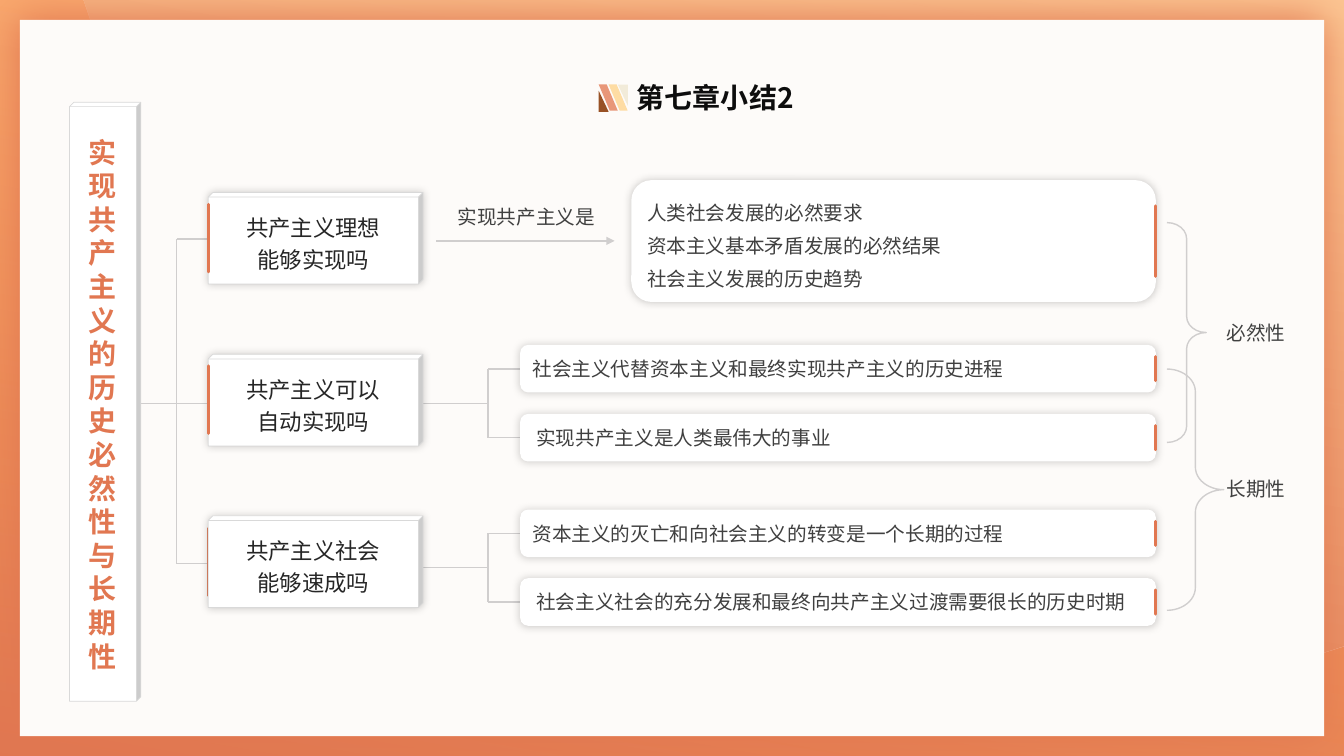
from lxml.etree import SubElement
from pptx import Presentation
from pptx.dml.color import RGBColor
from pptx.enum.shapes import MSO_CONNECTOR, MSO_SHAPE
from pptx.enum.text import MSO_ANCHOR, PP_ALIGN
from pptx.oxml.ns import qn
from pptx.util import Cm, Pt

FONT = "Noto Sans CJK SC"
WHITE = RGBColor(0xFF, 0xFF, 0xFF)
PAPER = RGBColor(0xFD, 0xFB, 0xF9)
CORAL = RGBColor(0xE1, 0x77, 0x51)
ORANGE = RGBColor(0xFD, 0x72, 0x01)
PEACH = RGBColor(0xFD, 0xD5, 0xA6)
SAND = RGBColor(0xFE, 0xDC, 0xA3)
CREAM = RGBColor(0xF2, 0xEB, 0xD9)
SALMON = RGBColor(0xE8, 0x97, 0x79)
BROWN = RGBColor(0x98, 0x51, 0x25)
GREY = RGBColor(0xD0, 0xCE, 0xCE)
EDGE = RGBColor(0xD9, 0xD9, 0xD9)
BLACK = RGBColor(0x0D, 0x0D, 0x0D)
DARK = RGBColor(0x26, 0x26, 0x26)
TEXT = RGBColor(0x40, 0x40, 0x40)

prs = Presentation()
prs.slide_width, prs.slide_height = Cm(33.87), Cm(19.05)
s = prs.slides.add_slide(prs.slide_layouts[5])


def add_line(x1, y1, x2, y2, color=GREY, width=1):
    c = s.shapes.add_connector(MSO_CONNECTOR.STRAIGHT, Cm(x1), Cm(y1), Cm(x2), Cm(y2))
    c.line.color.rgb = color
    c.line.width = Pt(width)
    if color == CORAL:
        c._element.spPr.find(qn("a:ln")).set("cap", "rnd")
    SubElement(c._element.spPr, qn("a:effectLst"))
    return c


def add_text(sp, lines, size, color, spacing, align=PP_ALIGN.LEFT, bold=False, indent=0):
    tf = sp.text_frame
    tf.word_wrap = True
    tf.vertical_anchor = MSO_ANCHOR.MIDDLE
    tf.margin_left = Cm(0.25 + indent)
    tf.margin_right = Cm(0.25)
    tf.margin_top = tf.margin_bottom = Cm(0.13)
    for i, line in enumerate(lines):
        p = tf.paragraphs[0] if i == 0 else tf.add_paragraph()
        p.alignment = align
        p.line_spacing = Pt(spacing)
        r = p.add_run()
        r.text = line
        r.font.size, r.font.bold, r.font.name = Pt(size), bold, FONT
        r.font.color.rgb = color
        SubElement(r._r.rPr, qn("a:ea"), typeface=FONT)


backdrop = s.shapes.add_shape(MSO_SHAPE.RECTANGLE, 0, 0, prs.slide_width, prs.slide_height)

outline = [(33.87, 0), (33.87, 16.26), (33.4, 16.41)]
for curve in ([(33.4, 16.41), (31.04, 17.15), (28.55, 17.53), (25.96, 17.53)],
              [(25.96, 17.53), (15.16, 17.53), (5.99, 10.69), (2.49, 1.12)]):
    for step in range(1, 21):
        t = step / 20
        weights = ((1 - t) ** 3, 3 * t * (1 - t) ** 2, 3 * t * t * (1 - t), t ** 3)
        outline.append(tuple(sum(w * pt[k] for w, pt in zip(weights, curve)) for k in (0, 1)))
fb = s.shapes.build_freeform(Cm(2.11), 0)
fb.add_line_segments([(Cm(x), Cm(y)) for x, y in outline])
wave = fb.convert_to_shape()

for sp, tint in ((backdrop, ORANGE), (wave, PEACH)):
    sp.shadow.inherit = False
    sp.line.fill.background()
    sp.fill.gradient()
    sp.fill.gradient_angle = 80
    for stop, color in zip(sp.fill.gradient_stops, (CORAL, tint)):
        stop.color.rgb = color
    faded = sp._element.spPr.findall(".//" + qn("a:srgbClr"))[-1]
    SubElement(faded, qn("a:alpha"), val="50000")

panel = s.shapes.add_shape(MSO_SHAPE.RECTANGLE, Cm(0.5), Cm(0.5), Cm(32.87), Cm(18.05))
panel.fill.solid()
panel.fill.fore_color.rgb = PAPER
panel.line.fill.background()
shadowed = [(panel, CORAL, 100, 30)]

title = s.shapes.title
title.left, title.top, title.width, title.height = Cm(15.8), Cm(1.9), Cm(6.3), Cm(1.12)
add_text(title, ["第七章小结2"], 20, BLACK, 24, bold=True)
panel._element.addnext(title._element)

for y in (6.02, 10.16, 14.2):
    add_line(5.26, y, 4.45, y)
add_line(4.45, 6.02, 4.45, 14.2)
add_line(4.45, 10.16, 3.35, 10.16)

for kind, x, y, w, h, color, rotation in (
        (MSO_SHAPE.PARALLELOGRAM, 15.34, 2.13, 0.48, 0.66, SAND, 0),
        (MSO_SHAPE.RIGHT_TRIANGLE, 15.57, 2.13, 0.25, 0.53, CREAM, 180),
        (MSO_SHAPE.PARALLELOGRAM, 15.09, 2.13, 0.48, 0.66, SALMON, 0),
        (MSO_SHAPE.RIGHT_TRIANGLE, 15.09, 2.29, 0.25, 0.53, BROWN, 0)):
    mark = s.shapes.add_shape(kind, Cm(x), Cm(y), Cm(w), Cm(h))
    mark.shadow.inherit = False
    mark.fill.solid()
    mark.fill.fore_color.rgb = color
    mark.line.fill.background()
    mark.rotation = rotation
    if kind == MSO_SHAPE.PARALLELOGRAM:
        mark.adjustments[0] = 0.58
        mark._element.spPr.xfrm.set("flipH", "1")

arrow = add_line(11, 6.07, 15.49, 6.07)
SubElement(arrow.line._get_or_add_ln(), qn("a:tailEnd"), type="triangle")

for top in (9.3, 13.44):
    for y in (top, top + 1.73):
        add_line(13.11, y, 12.3, y)
    add_line(12.3, top, 12.3, top + 1.73)
    add_line(12.3, top + 0.86, 10.08, top + 0.86)

for y, w, h, bend in ((5.61, 0.99, 5.54, 0.41), (9.3, 1.43, 6.08, 0.4)):
    brace = s.shapes.add_shape(MSO_SHAPE.RIGHT_BRACE, Cm(29.41), Cm(y), Cm(w), Cm(h))
    brace.adjustments[0] = bend
    brace.shadow.inherit = False
    brace.fill.background()
    brace.line.color.rgb = GREY
    brace.line.width = Pt(1)

for x, y, w, label in ((11.18, 5.03, 4.11, "实现共产主义是"),
                       (30.56, 7.95, 2.24, "必然性"),
                       (30.56, 11.89, 2.24, "长期性")):
    tb = s.shapes.add_textbox(Cm(x), Cm(y), Cm(w), Cm(0.86))
    add_text(tb, [label], 14, TEXT, 17, indent=0.1)

for x, y, h, bar, indent, lines in (
        (15.91, 4.54, 3.07, 1.78, 0, ["人类社会发展的必然要求", "资本主义基本矛盾发展的必然结果", "社会主义发展的历史趋势"]),
        (13.11, 8.69, 1.2, 0.61, 0, ["社会主义代替资本主义和最终实现共产主义的历史进程"]),
        (13.11, 10.43, 1.2, 0.61, 0.1, ["实现共产主义是人类最伟大的事业"]),
        (13.11, 12.84, 1.2, 0.61, 0, ["资本主义的灭亡和向社会主义的转变是一个长期的过程"]),
        (13.11, 14.57, 1.2, 0.61, 0.1, ["社会主义社会的充分发展和最终向共产主义过渡需要很长的历史时期"])):
    card = s.shapes.add_shape(MSO_SHAPE.ROUNDED_RECTANGLE, Cm(x), Cm(y), Cm(29.13 - x), Cm(h))
    card.fill.solid()
    card.fill.fore_color.rgb = WHITE
    card.line.fill.background()
    add_text(card, lines, 14, TEXT, 23.6 if len(lines) > 1 else 17, indent=indent)
    shadowed.append((card, RGBColor(0, 0, 0), 20, 6))
    middle = y + h / 2
    add_line(29.12, middle - bar / 2, 29.12, middle + bar / 2, CORAL, 2)

add_line(5.26, 13.31, 5.26, 15.01, CORAL, 2)
for x, y, w, h, depth, lines, size, color, spacing in (
        (5.25, 4.85, 5.41, 2.31, 0.05, ["共产主义理想", "能够实现吗"], 16, DARK, 23.2),
        (5.25, 8.93, 5.41, 2.31, 0.05, ["共产主义可以", "自动实现吗"], 16, DARK, 23.2),
        (5.25, 13, 5.41, 2.31, 0.05, ["共产主义社会", "能够速成吗"], 16, DARK, 23.2),
        (1.75, 2.58, 1.8, 15.09, 0.06, ["实现共产主义的历史必然性与长期性"], 20, CORAL, 24)):
    block = s.shapes.add_shape(MSO_SHAPE.CUBE, Cm(x), Cm(y), Cm(w), Cm(h))
    block.adjustments[0] = depth
    block.shadow.inherit = False
    block.fill.solid()
    block.fill.fore_color.rgb = WHITE
    block.line.color.rgb = EDGE
    block.line.width = Pt(0.5)
    add_text(block, lines, size, color, spacing, PP_ALIGN.CENTER, bold=size == 20)
    if size == 16:
        shadowed.append((block, RGBColor(0, 0, 0), 20, 6))
for y in (5.15, 9.22):
    add_line(5.26, y, 5.26, y + 1.7, CORAL, 2)

for sp, color, opacity, blur in shadowed:
    sp.shadow.inherit = False
    effects = sp._element.spPr.find(qn("a:effectLst"))
    shade = SubElement(effects, qn("a:outerShdw"), blurRad=str(Pt(blur)), dist="0",
                       dir="18900000", algn="ctr", rotWithShape="0")
    tone = SubElement(shade, qn("a:srgbClr"), val=str(color))
    SubElement(tone, qn("a:alpha"), val=str(opacity * 1000))

prs.save("out.pptx")
